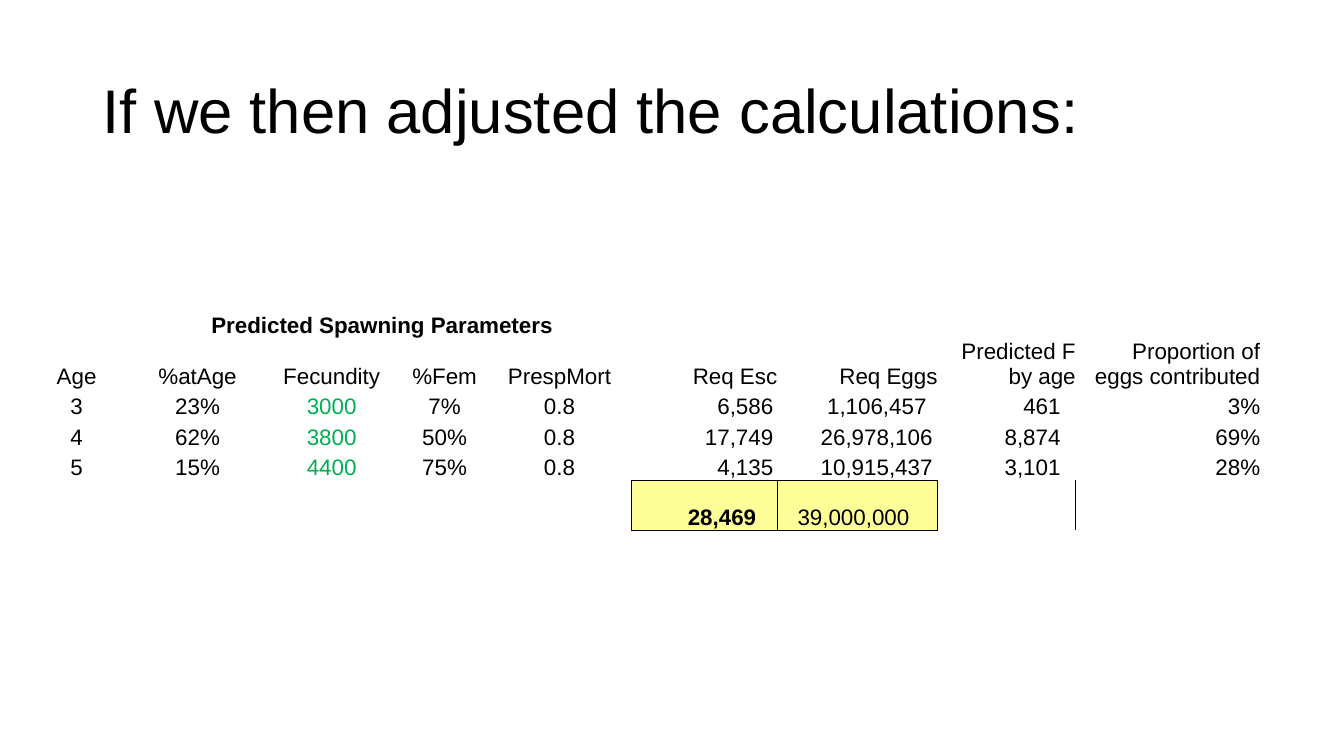
import pptx
import pptx.util
import pptx.dml.color
import pptx.enum.text
import pptx.oxml.ns
import lxml.etree
from dataclasses import dataclass

ALIGN = pptx.enum.text.PP_ALIGN
ANCHOR = pptx.enum.text.MSO_ANCHOR
NO_STYLE = "{2D5ABB26-0587-4C30-8999-92F81FD0307C}"

COLUMN_WIDTHS = [1.12, 1.28, 1.38, 0.86, 1.42, 1.45, 1.59, 1.37, 1.83]
ROW_HEIGHTS = [0.25, 0.51, 0.3, 0.3, 0.3, 0.5]
ROWS = [
    ["", "Predicted Spawning Parameters", "", "", "", "", "", "", ""],
    ["Age", "%atAge", "Fecundity", "%Fem", "PrespMort", "Req Esc", "Req Eggs",
     "Predicted F by age", "Proportion of\neggs contributed"],
    ["3", "23%", "3000", "7%", "0.8", "6,586", "1,106,457", "461", "3%"],
    ["4", "62%", "3800", "50%", "0.8", "17,749", "26,978,106", "8,874", "69%"],
    ["5", "15%", "4400", "75%", "0.8", "4,135", "10,915,437", "3,101", "28%"],
    ["", "", "", "", "", "28,469", "39,000,000", "", ""],
]
HEADER, FIRST_AGE, LAST_AGE, TOTAL = 1, 2, 4, 5
FECUNDITY, ESCAPEMENT, EGGS, PREDICTED = 2, 5, 6, 7
BOLD_CELLS = {(0, 1), (TOTAL, ESCAPEMENT)}
AGE_INDENTS = {ESCAPEMENT: 0.04, EGGS: 0.05, PREDICTED: 0.15}
INDENTS = {(row, column): indent for row in range(FIRST_AGE, LAST_AGE + 1)
           for column, indent in AGE_INDENTS.items()}
INDENTS |= {(FIRST_AGE, EGGS): 0.11, (TOTAL, ESCAPEMENT): 0.21, (TOTAL, EGGS): 0.28}
BORDERS = {
    (LAST_AGE, ESCAPEMENT): "B", (LAST_AGE, EGGS): "B",
    (TOTAL, ESCAPEMENT - 1): "R", (TOTAL, ESCAPEMENT): "LTB",
    (TOTAL, EGGS): "RTB", (TOTAL, PREDICTED): "L",
}


@dataclass(frozen=True)
class Theme:
    font: str = "Arial"
    ink: str = "000000"
    fecundity: str = "00B050"
    total: str = "FFFF99"
    title_size: int = 44
    table_size: int = 16
    border_width: float = 0.5


def colour(value):
    return pptx.dml.color.RGBColor.from_string(value)


def assign(target, values):
    for name, value in values.items():
        setattr(target, name, value)


class Page:
    def __init__(self, deck, theme):
        self.theme = theme
        self.width, self.height = deck.slide_width, deck.slide_height
        self.slide = deck.slides.add_slide(deck.slide_layouts[5])

    def place(self, left, top, width, height):
        return {"left": int(left * self.width), "top": int(top * self.height),
                "width": int(width * self.width), "height": int(height * self.height)}

    def set_text(self, frame, text, size, align, ink, bold=False):
        frame.text = text
        for para in frame.paragraphs:
            para.alignment = align
            for span in para.runs:
                assign(span.font, {"name": self.theme.font, "bold": bold,
                                   "size": pptx.util.Pt(size)})
                span.font.color.rgb = colour(ink)

    def title(self, text, *area):
        shape = self.slide.shapes.title
        assign(shape, self.place(*area))
        frame = shape.text_frame
        assign(frame, {"word_wrap": True, "vertical_anchor": ANCHOR.MIDDLE})
        self.set_text(frame, text, self.theme.title_size, ALIGN.LEFT, self.theme.ink)
        frame.paragraphs[0].line_spacing = 0.9

    def border(self, cell, sides):
        properties = cell._tc.get_or_add_tcPr()
        tag = pptx.oxml.ns.qn
        for side in sides:
            line = lxml.etree.SubElement(properties, tag(f"a:ln{side}"))
            line.set("w", str(pptx.util.Pt(self.theme.border_width)))
            fill = lxml.etree.SubElement(line, tag("a:solidFill"))
            lxml.etree.SubElement(fill, tag("a:srgbClr")).set("val", self.theme.ink)

    def cell(self, cell, row, column, text):
        theme = self.theme
        boxed = row == TOTAL and column in (ESCAPEMENT, EGGS)
        ages = FIRST_AGE <= row <= LAST_AGE
        left = 0.1 if (row, column) == (HEADER, PREDICTED) else 0
        assign(cell, {"margin_left": pptx.util.Inches(left), "margin_top": 0,
                      "margin_right": pptx.util.Inches(INDENTS.get((row, column), 0)),
                      "margin_bottom": 0, "vertical_anchor": ANCHOR.BOTTOM})
        self.border(cell, BORDERS.get((row, column), ""))
        if boxed:
            cell.fill.solid()
            cell.fill.fore_color.rgb = colour(theme.total)
        else:
            cell.fill.background()
        if text:
            self.set_text(cell.text_frame, text, theme.table_size,
                          ALIGN.RIGHT if column >= ESCAPEMENT else ALIGN.CENTER,
                          theme.fecundity if ages and column == FECUNDITY else theme.ink,
                          (row, column) in BOLD_CELLS)
        else:
            ending = lxml.etree.SubElement(cell.text_frame.paragraphs[0]._p,
                                           pptx.oxml.ns.qn("a:endParaRPr"))
            ending.set("sz", str(theme.table_size * 100))

    def table(self, rows, widths, heights, *area):
        frame = self.slide.shapes.add_table(len(rows), len(widths),
                                            **self.place(*area))
        frame.element.xpath(".//a:tableStyleId")[0].text = NO_STYLE
        table = frame.table
        assign(table, {"first_row": False, "horz_banding": False})
        for column, width in zip(table.columns, widths):
            column.width = pptx.util.Inches(width)
        for row, height in zip(table.rows, heights):
            row.height = pptx.util.Inches(height)
        for row, texts in enumerate(rows):
            for column, text in enumerate(texts):
                self.cell(table.cell(row, column), row, column, text)
        table.cell(0, 1).merge(table.cell(0, 4))


def main():
    deck = pptx.Presentation()
    assign(deck, {"slide_width": pptx.util.Inches(13.33),
                  "slide_height": pptx.util.Inches(7.5)})
    page = Page(deck, Theme())
    page.title("If we then adjusted the calculations:",
               0.92 / 13.33, 0.4 / 7.5, 11.5 / 13.33, 1.45 / 7.5)
    page.table(ROWS, COLUMN_WIDTHS, ROW_HEIGHTS,
               0.2 / 13.33, 3.08 / 7.5, sum(COLUMN_WIDTHS) / 13.33, sum(ROW_HEIGHTS) / 7.5)
    deck.save("out.pptx")


if __name__ == "__main__":
    main()
